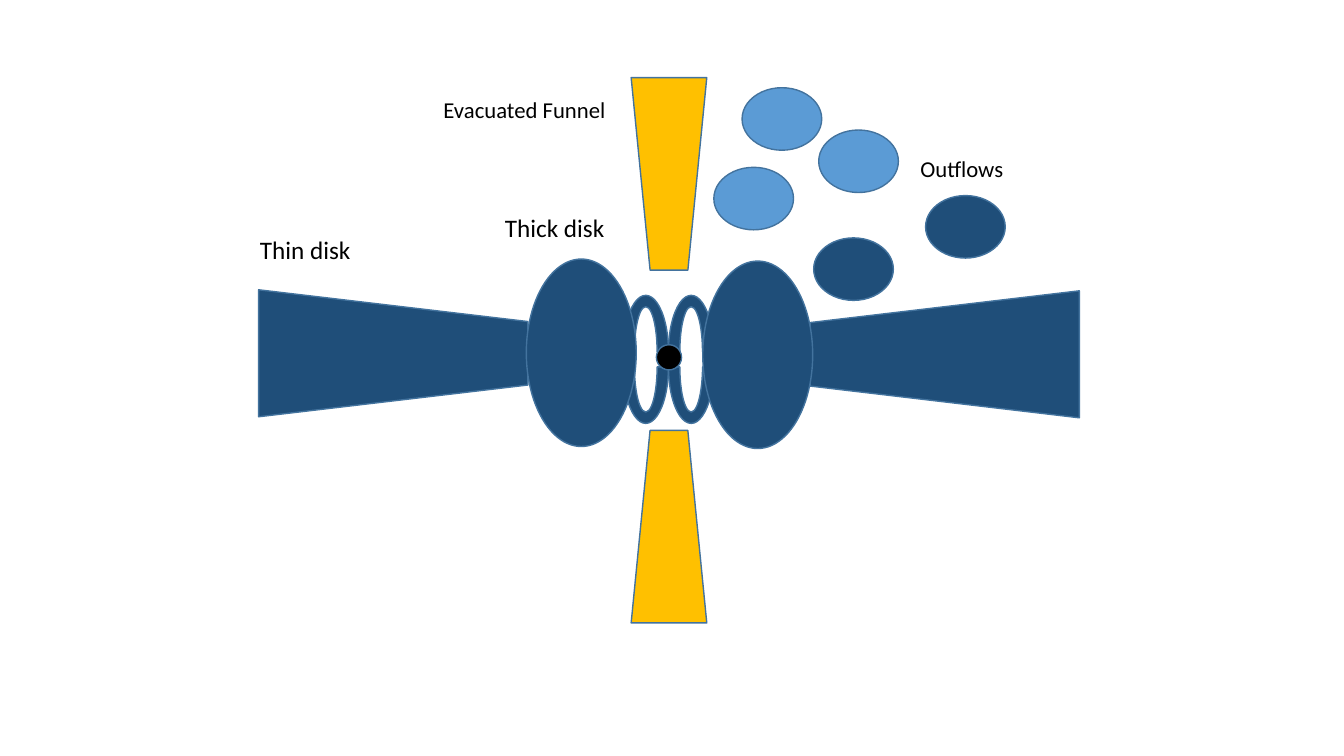
from pptx import Presentation
from pptx.dml.color import RGBColor
from pptx.enum.shapes import MSO_SHAPE as Preset
from pptx.enum.text import MSO_AUTO_SIZE as AutoSize
from pptx.util import Inches, Pt

COLORS = {
    "disk": "1F4E79",
    "funnel": "FFC000",
    "hot": "5B9BD5",
    "hole": "000000",
    "outline": "43739E",
    "text": "000000",
}
DISK_WINGS = [(8.74, 2.18, 270), (3.27, 2.17, 90)]
FUNNELS = [(0.77, 180), (4.27, 0)]
LABELS = [
    ("Evacuated Funnel", (4.3, 0.85, 2.07, 0.57), 28, 30000),
    ("Thick disk", (4.91, 2.06, 1.2, 0.4), 18, 0),
    ("Thin disk", (2.48, 2.28, 1.11, 0.4), 18, 0),
    ("Outflows", (9.03, 1.44, 1.17, 0.57), 28, 30000),
]
OUTFLOWS = [
    (7.08, 1.66, "hot"),
    (8.07, 2.36, "disk"),
    (8.12, 1.29, "hot"),
    (9.18, 1.94, "disk"),
    (7.36, 0.87, "hot"),
]
THICK_DISKS = [(6.97, 2.59), (5.22, 2.57)]


def add_figure(slide, preset, bounds, color, rotation=0):
    """Add an outlined preset shape."""
    figure = slide.shapes.add_shape(preset, *map(Inches, bounds))
    figure.rotation = rotation
    figure.shadow.inherit = False
    figure.fill.solid()
    figure.fill.fore_color.rgb = RGBColor.from_string(COLORS[color])
    figure.line.color.rgb = RGBColor.from_string(COLORS["outline"])
    figure.line.width = Pt(1)


def add_label(slide, text, bounds, size, baseline):
    """Add a one-line label, raised when a baseline is given."""
    box = slide.shapes.add_textbox(*map(Inches, bounds))
    frame = box.text_frame
    for name, value in {"word_wrap": False, "auto_size": AutoSize.SHAPE_TO_FIT_TEXT}.items():
        setattr(frame, name, value)
    span = frame.paragraphs[0].add_run()
    span.text = text
    for name, value in {"name": "Calibri", "size": Pt(size)}.items():
        setattr(span.font, name, value)
    span.font.color.rgb = RGBColor.from_string(COLORS["text"])
    if baseline:
        span._r.get_or_add_rPr().set("baseline", str(baseline))


def main():
    """Build the disk and funnel diagram."""
    deck = Presentation()
    deck.slide_width, deck.slide_height = Inches(13.33), Inches(7.5)
    slide = deck.slides.add_slide(deck.slide_layouts[6])

    for left, top, rotation in DISK_WINGS:
        add_figure(slide, Preset.TRAPEZOID, (left, top, 1.26, 2.67), "disk", rotation)
    for top, rotation in FUNNELS:
        add_figure(slide, Preset.TRAPEZOID, (6.26, top, 0.75, 1.91), "funnel", rotation)
    for label in LABELS:
        add_label(slide, *label)
    for left, top, color in OUTFLOWS:
        add_figure(slide, Preset.OVAL, (left, top, 0.79, 0.62), color)
    for top, rotation in [(2.93, 0), (3.08, 180)]:
        for left in (6.18, 6.63):
            add_figure(slide, Preset.BLOCK_ARC, (left, top, 0.45, 1.12), "disk", rotation)
    add_figure(slide, Preset.OVAL, (6.51, 3.42, 0.25, 0.25), "hole")
    for left, top in THICK_DISKS:
        add_figure(slide, Preset.OVAL, (left, top, 1.09, 1.86), "disk")

    deck.save("out.pptx")


if __name__ == "__main__":
    main()
